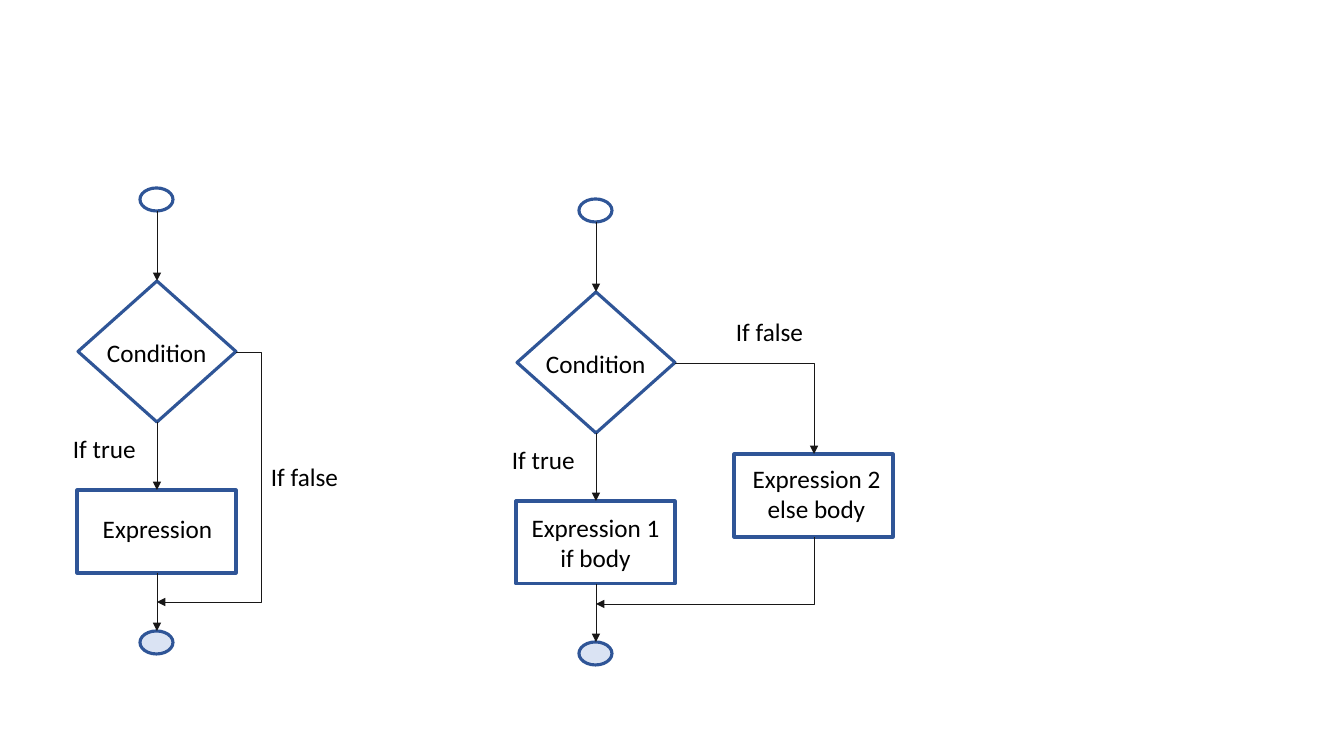
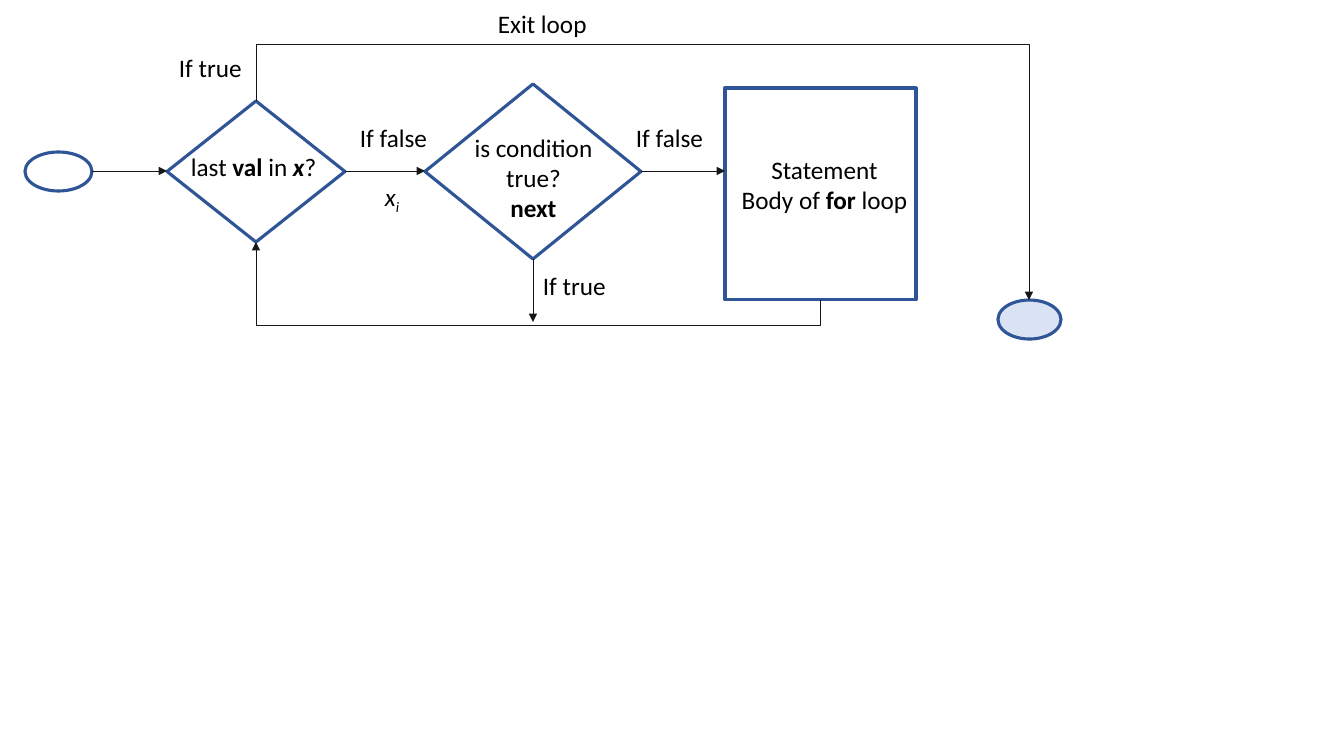
from dataclasses import dataclass
from typing import Optional

from lxml.etree import SubElement
from pptx import Presentation
from pptx.dml.color import RGBColor
from pptx.enum.shapes import MSO_CONNECTOR, MSO_SHAPE
from pptx.enum.text import MSO_AUTO_SIZE, PP_ALIGN
from pptx.oxml.ns import qn
from pptx.shapes.connector import Connector
from pptx.slide import Slide
from pptx.util import Emu, Pt

SCALE = 914400 / 100.8


@dataclass(frozen=True)
class Theme:
    edge: RGBColor = RGBColor(0x2F, 0x55, 0x97)
    done: RGBColor = RGBColor(0xDA, 0xE3, 0xF3)
    wire: RGBColor = RGBColor(0x18, 0x17, 0x17)
    ink: RGBColor = RGBColor(0, 0, 0)
    font: str = "Calibri"
    size: Pt = Pt(18)
    thick: Pt = Pt(2.25)
    thin: Pt = Pt(0.5)


THEME = Theme()


@dataclass(frozen=True)
class Node:
    kind: MSO_SHAPE
    left: int
    top: int
    width: int
    height: int
    fill: Optional[RGBColor] = None


@dataclass(frozen=True)
class Bit:
    text: str
    bold: bool = False
    slant: bool = False
    sub: bool = False


Lines = tuple[tuple[Bit, ...], ...]


@dataclass(frozen=True)
class Label:
    left: int
    top: int
    width: int
    lines: Lines
    height: int = 40
    mid: bool = False
    wrap: bool = False


@dataclass(frozen=True)
class Arrow:
    x1: int
    y1: int
    x2: int
    y2: int


@dataclass(frozen=True)
class Bend(Arrow):
    via: Optional[int] = None
    down: bool = False


def plain(*lines: str) -> Lines:
    return tuple((Bit(line),) for line in lines)


def px(count: float) -> Emu:
    return Emu(round(count * SCALE))


def draw_node(slide: Slide, node: Node) -> None:
    shape = slide.shapes.add_shape(
        node.kind, px(node.left), px(node.top), px(node.width), px(node.height))
    shape.shadow.inherit = False
    shape.line.color.rgb = THEME.edge
    shape.line.width = THEME.thick
    if node.fill is None:
        shape.fill.background()
    else:
        shape.fill.solid()
        shape.fill.fore_color.rgb = node.fill


def draw_label(slide: Slide, label: Label) -> None:
    box = slide.shapes.add_textbox(
        px(label.left), px(label.top), px(label.width), px(label.height))
    frame = box.text_frame
    frame.text = "\n".join(line[0].text for line in label.lines)
    frame.word_wrap = label.wrap
    frame.auto_size = MSO_AUTO_SIZE.SHAPE_TO_FIT_TEXT
    for para, line in zip(frame.paragraphs, label.lines):
        para.alignment = PP_ALIGN.CENTER if label.mid else PP_ALIGN.LEFT
        for bit in line[1:]:
            para.add_run().text = bit.text
        for run, bit in zip(para.runs, line):
            font = run.font
            font.name = THEME.font
            font.size = THEME.size
            font.color.rgb = THEME.ink
            font.bold = bit.bold
            font.italic = bit.slant
            if bit.sub:
                font._element.set("baseline", "-25000")


def style_wire(wire: Connector) -> None:
    wire.line.color.rgb = THEME.wire
    wire.line.width = THEME.thin
    SubElement(wire.line._get_or_add_ln(), qn("a:tailEnd"), type="triangle")
    SubElement(wire._element.spPr, qn("a:effectLst"))


def turn_wire(wire: Connector, bend: Bend) -> None:
    wide, tall = bend.x2 - bend.x1, bend.y2 - bend.y1
    mid_x, mid_y = (bend.x1 + bend.x2) / 2, (bend.y1 + bend.y2) / 2
    wire.left, wire.top = px(mid_x - abs(tall) / 2), px(mid_y - abs(wide) / 2)
    wire.width, wire.height = px(abs(tall)), px(abs(wide))
    frame = wire._element.spPr.find(qn("a:xfrm"))
    frame.set("rot", str((90 if wide < 0 else 270) * 60000))
    frame.set("flipH", str(int((wide < 0) == (tall < 0))))
    frame.set("flipV", "0")


def draw_wire(slide: Slide, arrow: Arrow) -> None:
    bent = isinstance(arrow, Bend)
    kind = MSO_CONNECTOR.ELBOW if bent else MSO_CONNECTOR.STRAIGHT
    wire = slide.shapes.add_connector(
        kind, px(arrow.x1), px(arrow.y1), px(arrow.x2), px(arrow.y2))
    style_wire(wire)
    if not bent:
        return
    if arrow.down:
        turn_wire(wire, arrow)
    form = wire._element.spPr.find(qn("a:prstGeom"))
    if arrow.via is None:
        form.set("prst", "bentConnector2")
        return
    start, end = (arrow.y1, arrow.y2) if arrow.down else (arrow.x1, arrow.x2)
    ratio = round((arrow.via - start) / (end - start) * 100000)
    guides = form.find(qn("a:avLst"))
    SubElement(guides, qn("a:gd"), name="adj1", fmla=f"val {ratio}")


def draw_all(slide: Slide, *parts: Node | Label | Arrow) -> None:
    for part in parts:
        if isinstance(part, Node):
            draw_node(slide, part)
        elif isinstance(part, Label):
            draw_label(slide, part)
        else:
            draw_wire(slide, part)


def draw_flow(slide: Slide, x: int, y: int) -> None:
    draw_all(
        slide,
        Node(MSO_SHAPE.OVAL, x - 17, y, 33, 23),
        Node(MSO_SHAPE.DIAMOND, x - 79, y + 93, 158, 141),
        Node(MSO_SHAPE.RECTANGLE, x - 80, y + 302, 159, 83),
        Node(MSO_SHAPE.OVAL, x - 17, y + 443, 33, 23, THEME.done),
        Label(x - 60, y + 144, 121, plain("Condition")),
        Label(x - 94, y + 240, 84, plain("If true")),
        *(Arrow(x, y + top, x, y + end)
          for top, end in ((23, 93), (234, 302), (385, 443))))


def draw_if(slide: Slide) -> None:
    draw_flow(slide, 157, 188)
    draw_all(
        slide,
        Label(92, 508, 131, plain("Expression"), mid=True),
        Label(261, 456, 89, plain("If false")),
        Bend(236, 352, 157, 602, via=261))
    draw_flow(slide, 596, 199)
    draw_all(
        slide,
        Node(MSO_SHAPE.RECTANGLE, 734, 454, 159, 83),
        Label(521, 507, 149, plain("Expression 1", "if body"), 72, mid=True),
        Label(726, 458, 181, plain("Expression 2 else body"), 72, True, True),
        Label(726, 311, 89, plain("If false")),
        Bend(675, 363, 814, 454),
        Bend(814, 537, 596, 604, down=True))


def draw_for(slide: Slide) -> None:
    last = ((Bit("last "), Bit("val", bold=True), Bit(" in"),
             Bit(" x", bold=True, slant=True), Bit("?")),)
    test = ((Bit("is condition true?"),), (Bit("next", bold=True),))
    body = ((Bit("Statement"),),
            (Bit("Body of "), Bit("for ", bold=True), Bit("loop")))
    item = ((Bit("x", slant=True), Bit("i", slant=True, sub=True)),)
    draw_all(
        slide,
        Node(MSO_SHAPE.OVAL, 25, 152, 67, 39),
        Node(MSO_SHAPE.DIAMOND, 167, 101, 178, 141),
        Node(MSO_SHAPE.DIAMOND, 425, 84, 216, 175),
        Node(MSO_SHAPE.RECTANGLE, 725, 88, 191, 212),
        Node(MSO_SHAPE.OVAL, 998, 300, 63, 39, THEME.done),
        Label(169, 146, 169, last, mid=True, wrap=True),
        Label(451, 127, 165, test, 102, True, True),
        Label(715, 149, 219, body, 72, True, True),
        Label(375, 176, 35, item),
        Label(488, 3, 110, plain("Exit loop")),
        *(Label(left, 117, 89, plain("If false")) for left in (350, 626)),
        *(Label(left, top, 84, plain("If true"))
          for left, top in ((169, 47), (533, 265))),
        *(Arrow(left, 171, right, 171)
          for left, right in ((92, 167), (345, 425), (641, 725))),
        Arrow(533, 259, 533, 322),
        Bend(256, 101, 1029, 300, via=44, down=True),
        Bend(820, 300, 256, 242, via=325, down=True))


def main() -> None:
    deck = Presentation()
    deck.slide_width, deck.slide_height = px(1344), px(756)
    for draw in (draw_if, draw_for):
        draw(deck.slides.add_slide(deck.slide_layouts[6]))
    deck.save("out.pptx")


main()
